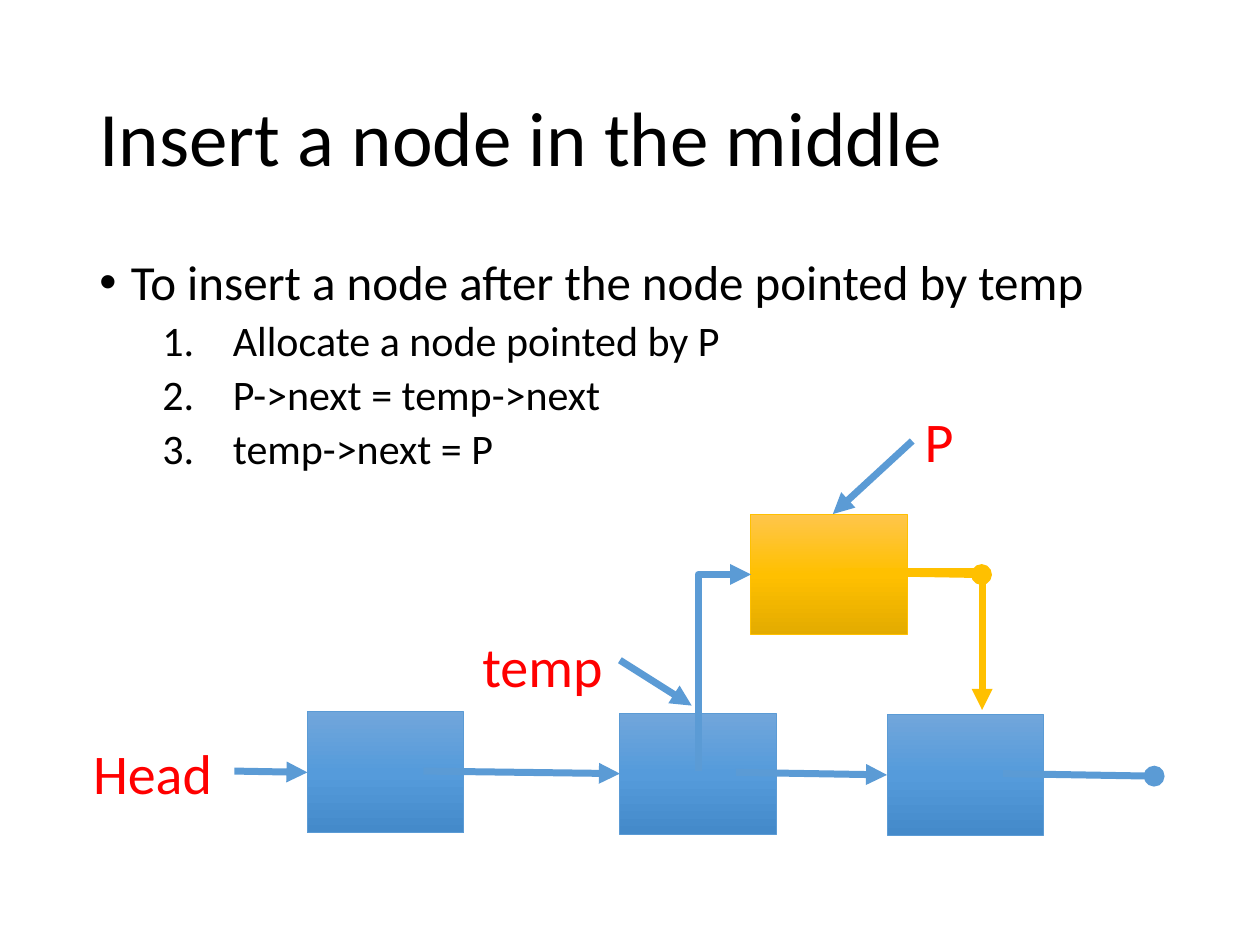
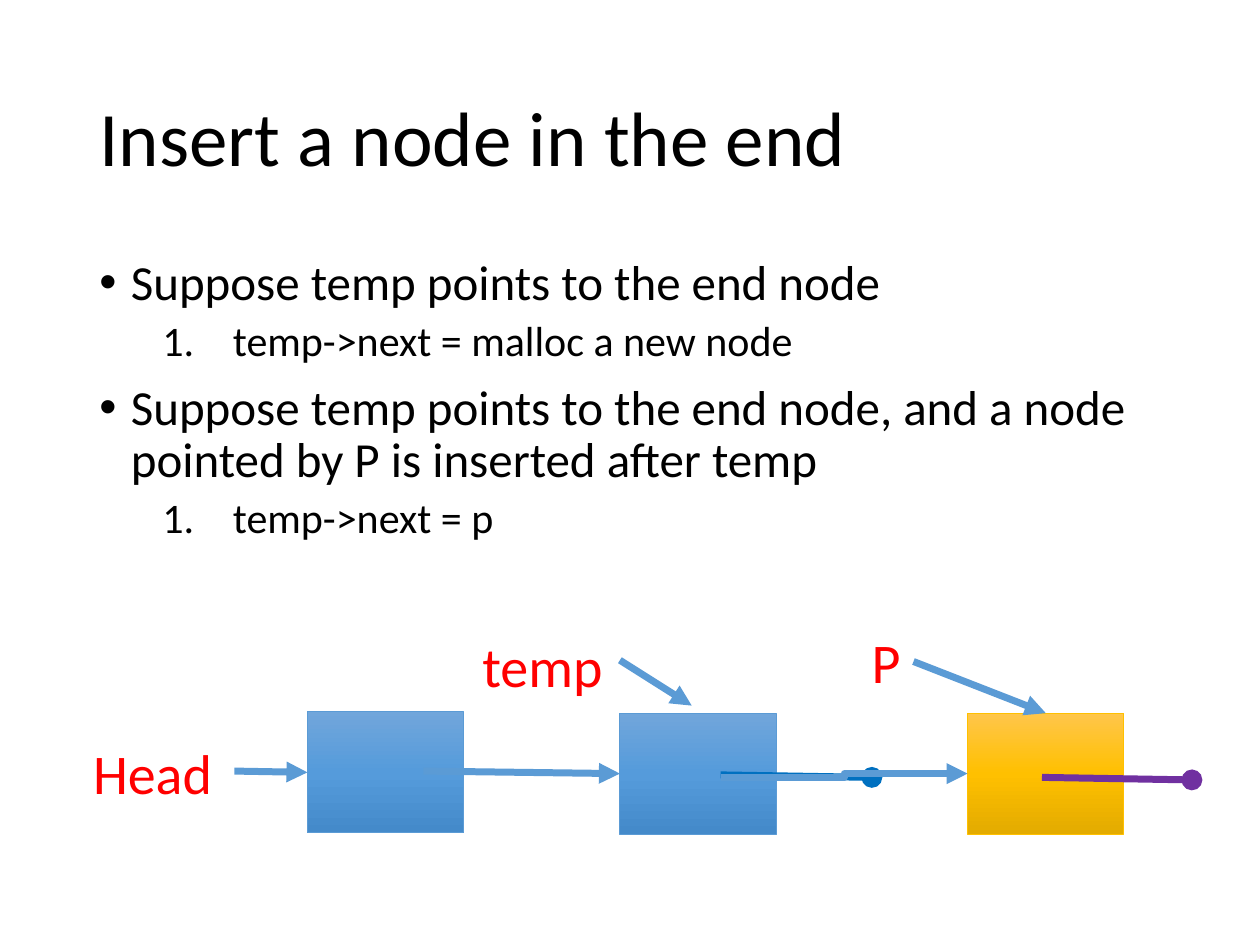
from copy import deepcopy
from dataclasses import dataclass
from typing import Optional

from lxml.etree import SubElement
from pptx import Presentation
from pptx.dml.color import RGBColor
from pptx.enum.shapes import MSO_CONNECTOR as Route, MSO_SHAPE as Preset
from pptx.enum.text import MSO_ANCHOR as Anchor, MSO_AUTO_SIZE as AutoSize
from pptx.oxml.ns import qn
from pptx.util import Inches, Pt

# Shared look
FONT = "Calibri"
BLACK, RED = "000000", "FF0000"
BLUE, DEEP_BLUE, GOLD, PURPLE = "5B9BD5", "0070C0", "FFC000", "7030A0"
GRADIENTS = {
    BLUE: ("71A6DB", "559BDB", "448ACA"),
    GOLD: ("FFC64B", "FFC000", "E3AB00"),
}
NODE_WIDTH, NODE_HEIGHT = 1.24, 0.96
LABEL_HEIGHT = 0.64
LINK_WIDTH = 4
TOP, LEFT = 0, 1
Point = tuple[float, float]


@dataclass(frozen=True)
class Node:
    left: float
    top: float
    colour: str = BLUE


@dataclass(frozen=True)
class Link:
    begin: Point
    end: Point
    colour: str = BLUE
    tail: str = "triangle"
    target: Optional[Node] = None
    side: int = LEFT


@dataclass(frozen=True)
class Elbow:
    """A bent link, given by its corners before it is turned."""
    begin: Point
    end: Point
    colour: str = BLUE
    turn: int = 0
    preset: str = "bentConnector3"
    bend: Optional[float] = None


@dataclass(frozen=True)
class Label:
    text: str
    left: float
    top: float
    width: float


@dataclass(frozen=True)
class Level:
    depth: int
    size: int
    before: int
    margin: float
    hanging: float
    bullet: tuple[str, dict]


@dataclass(frozen=True)
class Page:
    title: str
    body: list[tuple[Level, str]]
    nodes: list[Node]
    links: list[Link]
    elbows: list[Elbow]
    labels: list[Label]


POINT = Level(0, 28, 10, 0.25, 0.25, ("a:buChar", {"char": "•"}))
STEP = Level(1, 24, 5, 1.06, 0.56, ("a:buAutoNum", {"type": "arabicPeriod"}))

# List parts found on both pages
HEAD_NODE, TEMP_NODE = Node(2.44, 5.65), Node(4.92, 5.66)
SHARED_LINKS = [
    Link((3.36, 6.12), (4.92, 6.14), target=TEMP_NODE),
    Link((1.86, 6.12), (2.44, 6.13), target=HEAD_NODE),
    Link((4.92, 5.24), (5.49, 5.6)),
]
SHARED_LABELS = [Label("Head", 0.64, 5.81, 1.16), Label("temp", 3.73, 4.96, 1.17)]

# Parts of each page
LAST_NODE = Node(7.04, 5.67)
MIDDLE_NODE, END_NODE = Node(5.96, 4.08, GOLD), Node(7.68, 5.66, GOLD)
PAGES = [
    Page(
        "Insert a node in the middle",
        [
            (POINT, "To insert a node after the node pointed by temp"),
            (STEP, "Allocate a node pointed by P"),
            (STEP, "P->next = temp->next"),
            (STEP, "temp->next = P"),
        ],
        [LAST_NODE, MIDDLE_NODE],
        [
            Link((5.84, 6.13), (7.04, 6.15), target=LAST_NODE),
            Link((7.96, 6.14), (9.16, 6.16), tail="oval"),
            Link((6.6, 4.54), (7.79, 4.56), GOLD, "oval"),
            Link((7.24, 3.5), (6.61, 4.08)),
        ],
        [
            Elbow((7.83, 4.54), (6.7, 5.6), GOLD, 270, bend=0.03),
            Elbow((6.53, 5.55), (4.97, 5.13), turn=90, preset="bentConnector2"),
        ],
        [Label("P", 7.24, 3.18, 0.43)],
    ),
    Page(
        "Insert a node in the end",
        [
            (POINT, "Suppose temp points to the end node"),
            (STEP, "temp->next = malloc a new node"),
            (POINT, "Suppose temp points to the end node, and a node pointed by P "
                    "is inserted after temp"),
            (STEP, "temp->next = p"),
        ],
        [END_NODE],
        [
            Link((5.72, 6.15), (6.92, 6.17), DEEP_BLUE, "oval"),
            Link((7.25, 5.25), (8.3, 5.66), target=END_NODE, side=TOP),
            Link((8.27, 6.17), (9.46, 6.19), PURPLE, "oval"),
        ],
        [Elbow((5.72, 6.17), (7.68, 6.14), bend=0.5)],
        [Label("P", 6.82, 4.93, 0.43)],
    ),
]


def rgb(colour: str) -> RGBColor:
    return RGBColor.from_string(colour)


def apply(target, values: dict) -> None:
    for name, value in values.items():
        setattr(target, name, value)


def add_box(slide, left: float, top: float, width: float, height: float, **frame_format):
    box = slide.shapes.add_textbox(Inches(left), Inches(top), Inches(width), Inches(height))
    apply(box.text_frame, frame_format)
    return box.text_frame


def write(para, text: str, size: int, colour: str = BLACK, **para_format) -> None:
    apply(para, para_format)
    span = para.add_run()
    span.text = text
    apply(span.font, {"name": FONT, "size": Pt(size)})
    span.font.color.rgb = rgb(colour)


def add_title(slide, title: str) -> None:
    frame = add_box(slide, 0.69, 0.4, 8.62, 1.45,
                    word_wrap=True, vertical_anchor=Anchor.MIDDLE)
    write(frame.paragraphs[0], title, 44, line_spacing=0.9)


def add_body(slide, lines: list[tuple[Level, str]]) -> None:
    frame = add_box(slide, 0.69, 2, 8.62, 4.76, word_wrap=True)
    for index, (level, text) in enumerate(lines):
        para = frame.add_paragraph() if index else frame.paragraphs[0]
        write(para, text, level.size, level=level.depth,
              line_spacing=0.9, space_before=Pt(level.before))
        # Bullet or number with its hanging indent
        properties = para._p.get_or_add_pPr()
        properties.set("marL", str(Inches(level.margin)))
        properties.set("indent", str(-Inches(level.hanging)))
        SubElement(properties, qn("a:buFont"), typeface="Arial")
        tag, values = level.bullet
        SubElement(properties, qn(tag), values)


def add_node(slide, node: Node):
    shape = slide.shapes.add_shape(Preset.RECTANGLE, Inches(node.left), Inches(node.top),
                                   Inches(NODE_WIDTH), Inches(NODE_HEIGHT))
    shape.shadow.inherit = False
    shape.fill.gradient()
    shape.fill.gradient_angle = 270
    stop_list = next(shape._element.iter(qn("a:gsLst")))
    stop_list.append(deepcopy(stop_list[0]))
    stops = zip(shape.fill.gradient_stops, (0, 0.5, 1), GRADIENTS[node.colour])
    for stop, position, colour in stops:
        stop.position = position
        stop.color.rgb = rgb(colour)
    shape.line.color.rgb = rgb(node.colour)
    shape.line.width = Pt(0.5)
    return shape


def add_line(slide, route: Route, begin: Point, end: Point, colour: str, tail: str):
    ends = [Inches(value) for value in (*begin, *end)]
    line = slide.shapes.add_connector(route, *ends)
    line.line.color.rgb = rgb(colour)
    line.line.width = Pt(LINK_WIDTH)
    properties = line._element.spPr
    SubElement(properties.find(qn("a:ln")), qn("a:tailEnd"), type=tail)
    SubElement(properties, qn("a:effectLst"))
    return line


def add_link(slide, link: Link, shapes: dict) -> None:
    line = add_line(slide, Route.STRAIGHT, link.begin, link.end, link.colour, link.tail)
    if link.target:
        line.end_connect(shapes[link.target], link.side)


def add_elbow(slide, elbow: Elbow) -> None:
    line = add_line(slide, Route.ELBOW, elbow.begin, elbow.end, elbow.colour, "triangle")
    properties = line._element.spPr
    if elbow.turn:
        properties.find(qn("a:xfrm")).set("rot", str(elbow.turn * 60000))
    geometry = properties.find(qn("a:prstGeom"))
    geometry.set("prst", elbow.preset)
    if elbow.bend is not None:
        SubElement(geometry.find(qn("a:avLst")), qn("a:gd"),
                   name="adj1", fmla=f"val {round(elbow.bend * 100000)}")


def add_label(slide, label: Label) -> None:
    frame = add_box(slide, label.left, label.top, label.width, LABEL_HEIGHT,
                    word_wrap=False, auto_size=AutoSize.SHAPE_TO_FIT_TEXT)
    write(frame.paragraphs[0], label.text, 32, RED)


def add_page(deck, page: Page) -> None:
    slide = deck.slides.add_slide(deck.slide_layouts[6])
    add_title(slide, page.title)
    add_body(slide, page.body)
    nodes = [HEAD_NODE, TEMP_NODE, *page.nodes]
    shapes = {node: add_node(slide, node) for node in nodes}
    for link in SHARED_LINKS + page.links:
        add_link(slide, link, shapes)
    for elbow in page.elbows:
        add_elbow(slide, elbow)
    for label in SHARED_LABELS + page.labels:
        add_label(slide, label)


def main() -> None:
    deck = Presentation()
    deck.slide_width, deck.slide_height = Inches(10), Inches(7.5)
    for page in PAGES:
        add_page(deck, page)
    deck.save("out.pptx")


if __name__ == "__main__":
    main()
